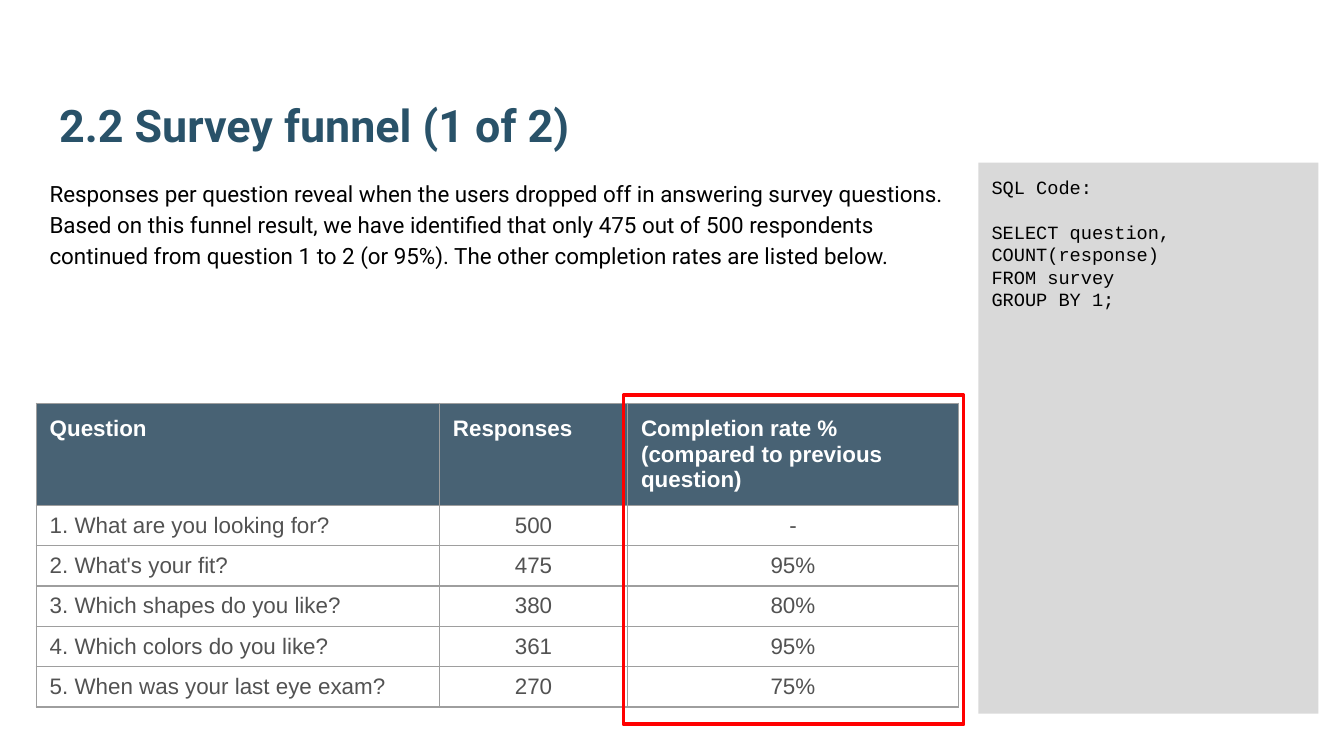
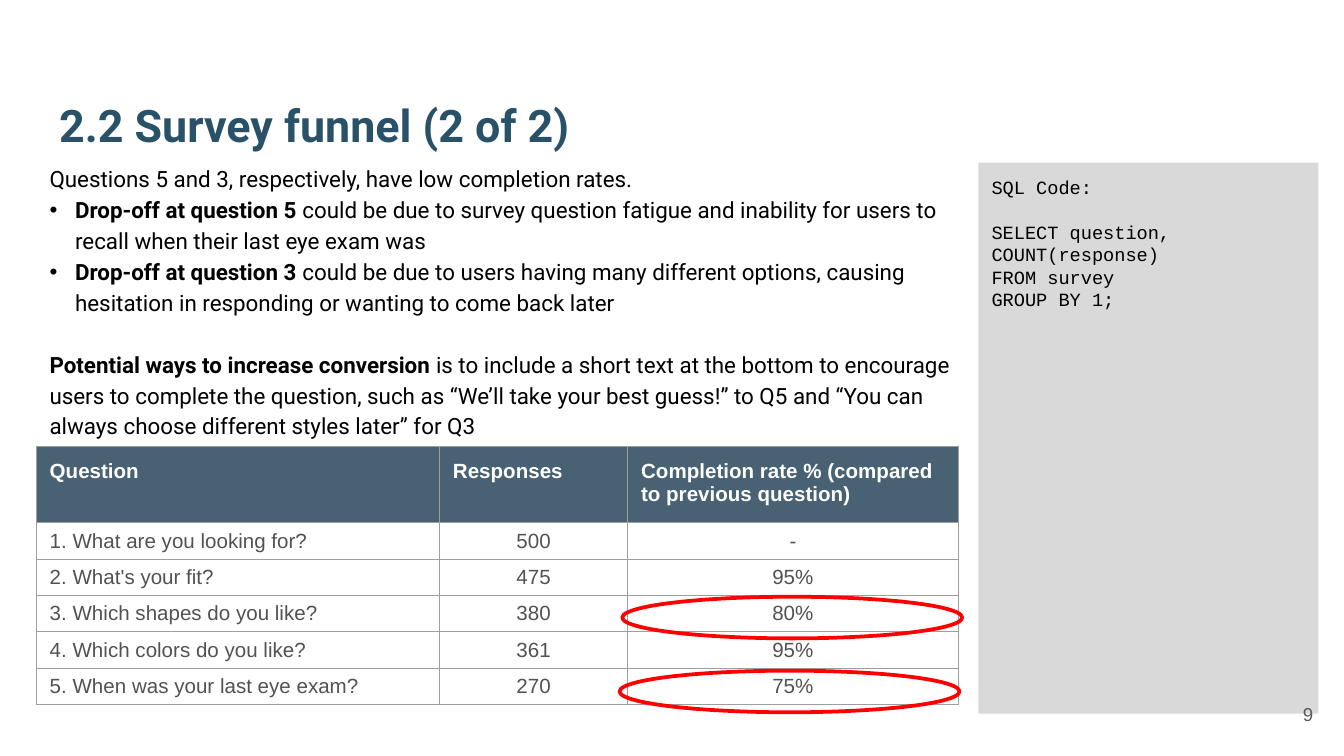
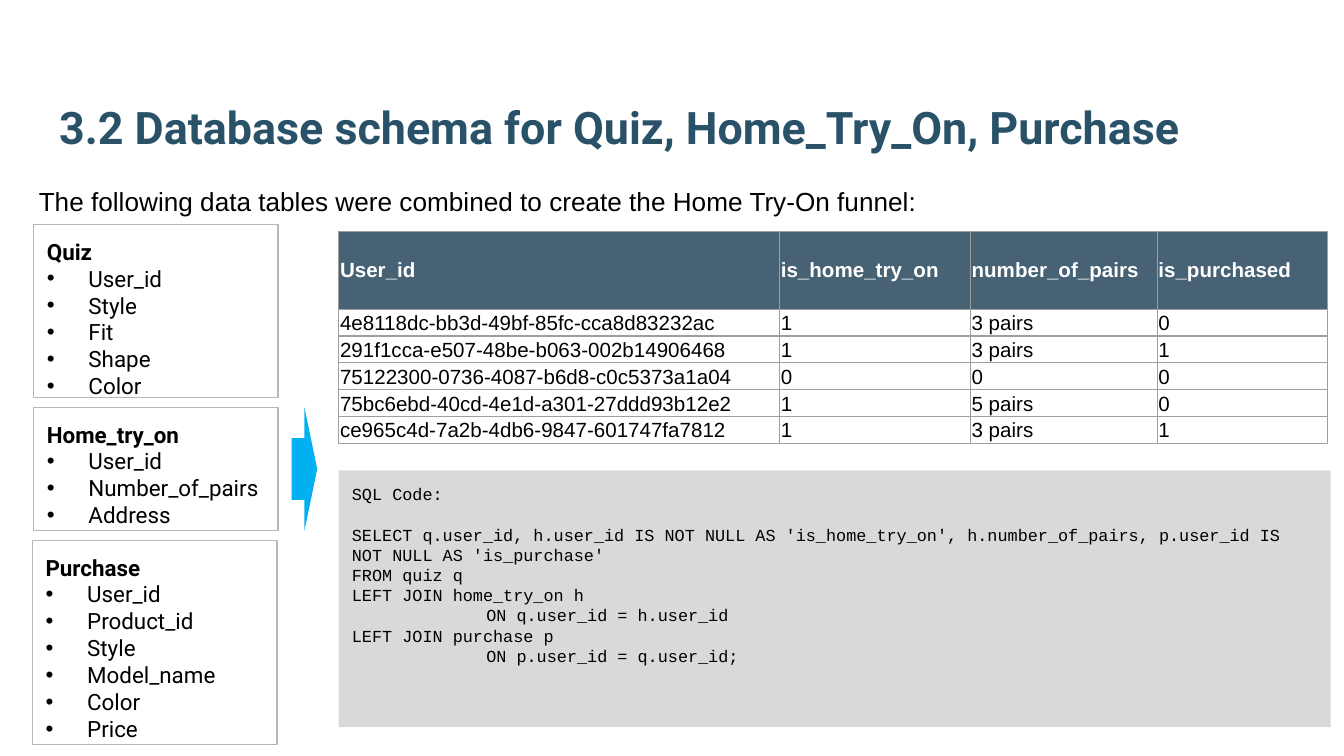
from lxml import etree
from pptx import Presentation
from pptx.dml.color import RGBColor
from pptx.enum import shapes, text
from pptx.oxml.ns import qn
from pptx.util import Inches, Pt

# Shared colours and fonts
NAVY = RGBColor(0x29, 0x52, 0x69)
DEEP = RGBColor(0x20, 0x40, 0x56)
SLATE = RGBColor(0x47, 0x62, 0x74)
BLACK = RGBColor(0, 0, 0)
WHITE = RGBColor(255, 255, 255)
INK = RGBColor(0x52, 0x52, 0x52)
MUTED = RGBColor(0x59, 0x59, 0x59)
PALE = RGBColor(0xD9, 0xD9, 0xD9)
EDGE = RGBColor(0xB7, 0xB7, 0xB7)
GRID = RGBColor(0x9E, 0x9E, 0x9E)
RED = RGBColor(255, 0, 0)
CYAN = RGBColor(0, 0xB0, 0xF0)
SANS, BODY, MONO = "Arial", "Roboto", "Courier New"

KIND = shapes.MSO_SHAPE
ALIGN = text.PP_ALIGN
ANCHOR = text.MSO_ANCHOR
WIDE = 10

# Survey content
HEADS = ["Question", "Responses",
         "Completion rate % (compared to previous question)"]
FUNNEL = [
    ["1. What are you looking for?", "500", "-"],
    ["2. What's your fit?", "475", "95%"],
    ["3. Which shapes do you like?", "380", "80%"],
    ["4. Which colors do you like?", "361", "95%"],
    ["5. When was your last eye exam?", "270", "75%"],
]
COUNT_SQL = ["SELECT question, COUNT(response)", "FROM survey", "GROUP BY 1;"]

# Home try-on content
JOINED = [
    ["User_id", "is_home_try_on", "number_of_pairs", "is_purchased"],
    ["4e8118dc-bb3d-49bf-85fc-cca8d83232ac", "1", "3 pairs", "0"],
    ["291f1cca-e507-48be-b063-002b14906468", "1", "3 pairs", "1"],
    ["75122300-0736-4087-b6d8-c0c5373a1a04", "0", "0", "0"],
    ["75bc6ebd-40cd-4e1d-a301-27ddd93b12e2", "1", "5 pairs", "0"],
    ["ce965c4d-7a2b-4db6-9847-601747fa7812", "1", "3 pairs", "1"],
]
JOIN_SQL = [
    "SELECT q.user_id, h.user_id IS NOT NULL AS 'is_home_try_on', "
    "h.number_of_pairs, p.user_id IS NOT NULL AS 'is_purchase'",
    "FROM quiz q",
    "LEFT JOIN home_try_on h",
    "\tON q.user_id = h.user_id",
    "LEFT JOIN purchase p",
    "\tON p.user_id = q.user_id;",
]
SCHEMA = [
    ((0.25, 1.67, 1.82, 1.29), "Quiz",
     ["User_id", "Style", "Fit", "Shape", "Color"]),
    ((0.25, 3.03, 1.82, 0.92), "Home_try_on",
     ["User_id", "Number_of_pairs", "Address"]),
    ((0.24, 4.02, 1.82, 1.52), "Purchase",
     ["User_id", "Product_id", "Style", "Model_name", "Color", "Price"]),
]


def place(box):
    return [Inches(n) for n in box]


def style(para, size, face=BODY, color=BLACK, bold=False):
    font = para.font
    font.size, font.name, font.bold = Pt(size), face, bold
    font.color.rgb = color


def bullet(para, indent):
    props = para._p.get_or_add_pPr()
    props.set("marL", str(Inches(indent)))
    props.set("indent", str(-Inches(indent)))
    etree.SubElement(props, qn("a:buFont")).set("typeface", SANS)
    etree.SubElement(props, qn("a:buChar")).set("char", "•")


def tab(para):
    stops = etree.SubElement(para._p.get_or_add_pPr(), qn("a:tabLst"))
    etree.SubElement(stops, qn("a:tab"), pos=str(Inches(1)), algn="l")


def setup(frame, anchor=ANCHOR.TOP):
    frame.word_wrap = True
    frame.auto_size = text.MSO_AUTO_SIZE.NONE
    frame.vertical_anchor = anchor
    frame.margin_left = frame.margin_right = Inches(0.1)
    frame.margin_top = frame.margin_bottom = Inches(0.1)


def write(frame, lines, size, face=BODY, color=BLACK, bold=False,
          align=ALIGN.LEFT, space=None, dots=(), indent=0):
    """Add lines; a (strong, plain) pair starts with bold words.

    The lines numbered in dots are bullets.
    """
    for i, line in enumerate(lines):
        para = frame.paragraphs[0] if i == 0 else frame.add_paragraph()
        if i in dots:
            bullet(para, indent)
        if line[0] == "\t":
            tab(para)
        style(para, size, face, color, bold)
        para.alignment, para.line_spacing = align, space
        if isinstance(line, str):
            para.add_run().text = line
        else:
            for part, strong in zip(line, (True, False)):
                run = para.add_run()
                run.text, run.font.bold = part, strong
    return frame.paragraphs


def note(slide, box, lines, size, anchor=ANCHOR.TOP, **look):
    frame = slide.shapes.add_textbox(*place(box)).text_frame
    setup(frame, anchor)
    return write(frame, lines, size, **look)


def shape(slide, kind, box, fill=None, line=None, width=0.75):
    item = slide.shapes.add_shape(kind, *place(box))
    item.shadow.inherit = False
    if fill is None:
        item.fill.background()
    else:
        item.fill.solid()
        item.fill.fore_color.rgb = fill
    if line is None:
        item.line.fill.background()
    else:
        item.line.color.rgb = line
        item.line.width = Pt(width)
    setup(item.text_frame)
    return item


def code(slide, box, lines, size):
    panel = shape(slide, KIND.RECTANGLE, box, fill=PALE)
    paras = write(panel.text_frame, ["SQL Code:"] + lines, size, MONO)
    paras[1].space_before = Pt(1.2 * size)


def border(cell):
    props = cell._tc.get_or_add_tcPr()
    for side in ("a:lnL", "a:lnR", "a:lnT", "a:lnB"):
        edge = etree.SubElement(props, qn(side), w=str(Pt(0.75)))
        fill = etree.SubElement(edge, qn("a:solidFill"))
        etree.SubElement(fill, qn("a:srgbClr")).set("val", str(GRID))


def grid(slide, spot, cols, head, row, data, size, fill=SLATE):
    """Draw a bordered table with a dark head."""
    high = head + row * (len(data) - 1)
    frame = slide.shapes.add_table(
        len(data), len(cols), *place((*spot, sum(cols), high)))
    table = frame.table
    table.first_row = table.horz_banding = False
    for col, wide in zip(table.columns, cols):
        col.width = Inches(wide)
    for r, words in enumerate(data):
        table.rows[r].height = Inches(row if r else head)
        for c, word in enumerate(words):
            cell = table.cell(r, c)
            border(cell)
            cell.vertical_anchor = ANCHOR.MIDDLE
            if r:
                cell.fill.background()
            else:
                cell.fill.solid()
                cell.fill.fore_color.rgb = fill
            write(cell.text_frame, [word], size, SANS,
                  BLACK if r else WHITE, r == 0)
    return table


def funnel(slide, top, head, row, size):
    table = grid(slide, (0.27, top), (3, 1.4, 2.46), head, row,
                 [HEADS] + FUNNEL, size, DEEP)
    for cell in table.rows[0].cells:
        cell.vertical_anchor = ANCHOR.TOP
        cell.margin_top = cell.margin_bottom = Inches(0.1)
        # Let the head fill show through a little
        tint = cell._tc.tcPr.find(qn("a:solidFill"))[0]
        etree.SubElement(tint, qn("a:alpha")).set("val", "82000")
    for r in range(1, len(table.rows)):
        for c in range(3):
            para = table.cell(r, c).text_frame.paragraphs[0]
            para.font.color.rgb = INK
            if c:
                para.alignment = ALIGN.CENTER


def start(deck, title, top=0.31):
    slide = deck.slides.add_slide(deck.slide_layouts[5])
    head = slide.shapes.title
    head.left, head.top, head.width, head.height = place(
        (0.34, top, 9.32, 0.92))
    setup(head.text_frame, ANCHOR.BOTTOM)
    write(head.text_frame, [title], 24, color=NAVY, bold=True)
    return slide


def survey(deck, part):
    slide = start(deck, f"2.2 Survey funnel ({part} of 2)")
    code(slide, (7.28, 1.21, 2.53, 4.1), COUNT_SQL, 10)
    return slide


def rates(deck):
    slide = survey(deck, 1)
    note(slide, (0.27, 1.21, 7.02, 1.96), [
        "Responses per question reveal when the users dropped off in "
        "answering survey questions. Based on this funnel result, we have "
        "identified that only 475 out of 500 respondents continued from "
        "question 1 to 2 (or 95%). The other completion rates are listed "
        "below."], 12, space=1.15)
    funnel(slide, 3, 0.64, 0.3, 12)
    shape(slide, KIND.RECTANGLE, (4.64, 2.94, 2.53, 2.45), line=RED, width=2)


def drops(deck):
    slide = survey(deck, 2)
    paras = note(slide, (0.27, 1.1, 7.02, 2.22), [
        "Questions 5 and 3, respectively, have low completion rates.",
        ("Drop-off at question 5 ",
         "could be due to survey question fatigue and inability for users "
         "to recall when their last eye exam was"),
        ("Drop-off at question 3 ",
         "could be due to users having many different options, causing "
         "hesitation in responding or wanting to come back later"),
        ("Potential ways to increase conversion",
         " is to include a short text at the bottom to encourage users to "
         "complete the question, such as “We’ll take your best guess!” to "
         "Q5 and “You can always choose different styles later” for Q3"),
    ], 12, space=1.15, dots=(1, 2), indent=0.19)
    paras[-1].space_before = Pt(16.6)
    funnel(slide, 3.32, 0.57, 0.27, 11)
    note(slide, (9.27, 5.1, 0.6, 0.43), ["9"], 10, ANCHOR.MIDDLE,
         face=SANS, color=MUTED, align=ALIGN.RIGHT)
    for left, top in ((4.63, 4.44), (4.61, 4.99)):
        shape(slide, KIND.OVAL, (left, top, 2.53, 0.31), line=RED, width=2)


def schema(deck):
    slide = start(deck, "3.2 Database schema for Quiz, Home_Try_On, Purchase",
                  0.32)
    note(slide, (0.19, 1.28, 9.55, 0.38), [
        "The following data tables were combined to create the Home Try-On "
        "funnel:"], 14, face=SANS)
    # Source tables
    for box, name, fields in SCHEMA:
        card = shape(slide, KIND.RECTANGLE, box, line=EDGE)
        paras = write(card.text_frame, [name] + fields, 12,
                      dots=range(1, len(fields) + 1), indent=0.31)
        paras[0].font.bold = True
    shape(slide, KIND.RIGHT_ARROW, (2.17, 3.03, 0.19, 0.92), fill=CYAN)
    # Joined table
    table = grid(slide, (2.52, 1.72), (3.28, 1.42, 1.39, 1.27), 0.58, 0.2,
                 JOINED, 11)
    for cell in table.iter_cells():
        cell.margin_left = cell.margin_right = Inches(0.01)
        cell.margin_top, cell.margin_bottom = Inches(0.01), 0
    code(slide, (2.52, 3.5, 7.38, 1.91), JOIN_SQL, 9)


def main():
    deck = Presentation()
    deck.slide_width, deck.slide_height = Inches(WIDE), Inches(WIDE * 9 / 16)
    rates(deck)
    drops(deck)
    schema(deck)
    deck.save("out.pptx")


if __name__ == "__main__":
    main()
